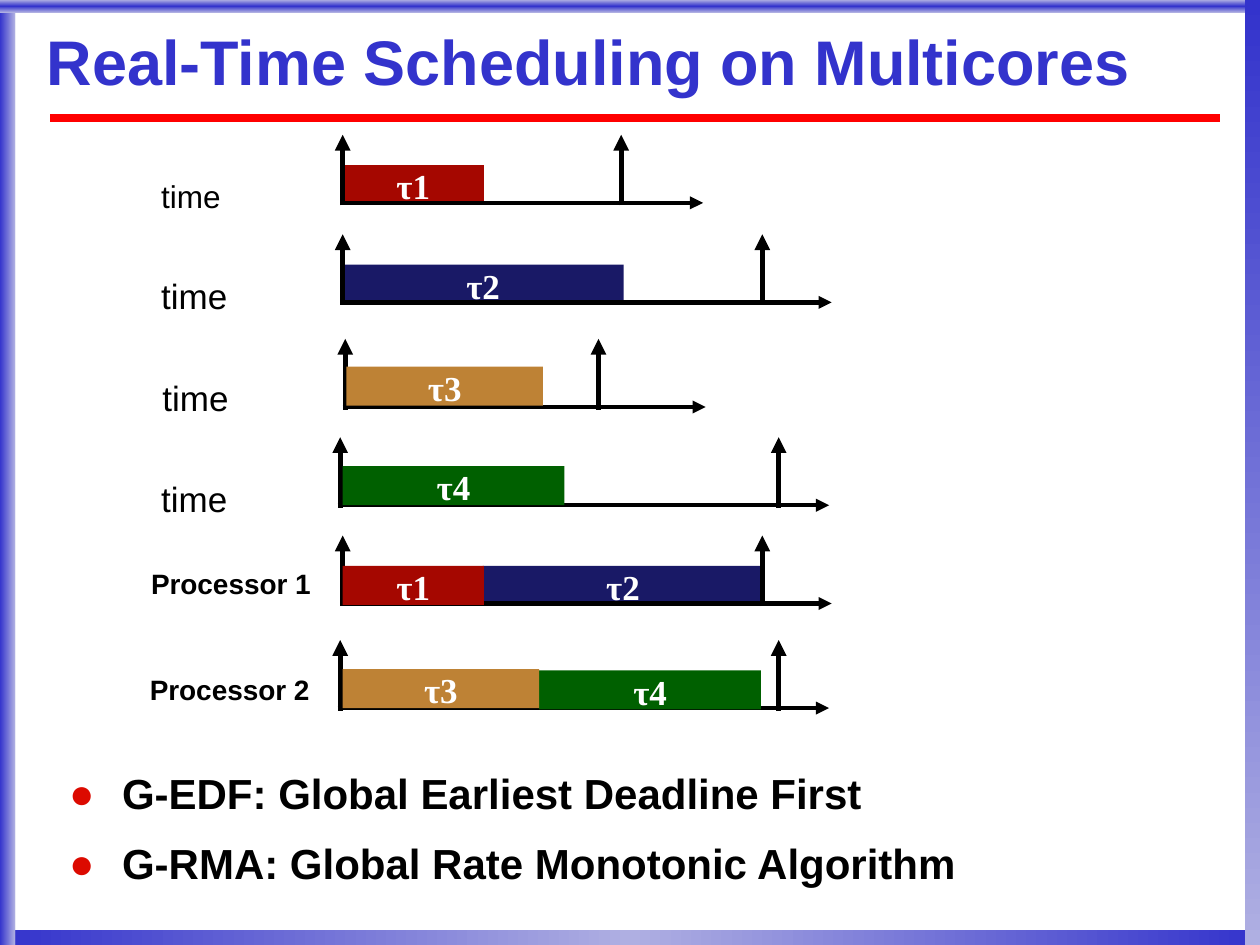
import pptx
import pptx.util
import pptx.dml.color
import pptx.enum.shapes
import pptx.enum.text
import pptx.oxml
import pptx.oxml.ns

NS = pptx.oxml.ns.nsdecls("a")
BLUE, PALE = "3333CC", "AFAFE2"
TASKS = {
    "τ1": ("A50700", 112),
    "τ2": ("191966", 223),
    "τ3": ("BE8235", 156),
    "τ4": ("006000", 176),
}
TIME = {"size": 20}
PROC = {"size": 16, "bold": True}
ROWS = [
    (272, 107, 221, 286, 33, "time", 118, {"size": 18}, [("τ1", 0, 24, False)]),
    (272, 186, 333, 388, 32, "time", 118, TIME, [("τ2", 0, 24, False)]),
    (274, 269, 201, 286, 30, "time", 119, TIME, [("τ3", 1, 22, True)]),
    (270, 347, 348, 388, 32, "time", 118, TIME, [("τ4", 2, 23, True)]),
    (272, 425, 333, 388, 24, "Processor 1", 110, PROC,
     [("τ2", 111, 24, False), ("τ1", 0, 24, True)]),
    (270, 508, 348, 388, 25, "Processor 2", 109, PROC,
     [("τ4", 158, 24, True), ("τ3", 2, 23, True)]),
]


def px(n):
    """Turn px, a hundred to the inch, into EMU."""
    return pptx.util.Emu(n * 9144)


def paint(hue):
    """Turn a hex string into a colour."""
    return pptx.dml.color.RGBColor.from_string(hue)


def block(slide, x, y, w, h, hue):
    """Draw a plain filled rectangle."""
    kind = pptx.enum.shapes.MSO_SHAPE.RECTANGLE
    shape = slide.shapes.add_shape(kind, px(x), px(y), px(w), px(h))
    shape.shadow.inherit = False
    shape.line.fill.background()
    shape.fill.solid()
    shape.fill.fore_color.rgb = paint(hue)
    return shape


def blend(shape, hues, angle):
    """Fill a shape with evenly spaced gradient stops."""
    step = 100000 // (len(hues) - 1)
    stops = "".join(
        f'<a:gs pos="{i * step}"><a:srgbClr val="{hue}"/></a:gs>'
        for i, hue in enumerate(hues))
    grad = pptx.oxml.parse_xml(
        f'<a:gradFill {NS} rotWithShape="1"><a:gsLst>{stops}</a:gsLst>'
        f'<a:lin ang="{angle * 60000}" scaled="0"/></a:gradFill>')
    old = shape.fill._xPr.find(pptx.oxml.ns.qn("a:solidFill"))
    old.getparent().replace(old, grad)


def line(slide, x1, y1, x2, y2, width, hue="000000", head=True):
    """Draw a straight line, with an arrowhead at its end if asked."""
    kind = pptx.enum.shapes.MSO_CONNECTOR.STRAIGHT
    rule = slide.shapes.add_connector(kind, px(x1), px(y1), px(x2), px(y2))
    rule.line.width = pptx.util.Pt(width)
    rule.line.color.rgb = paint(hue)
    if head:
        rule.line._get_or_add_ln().append(
            pptx.oxml.parse_xml(f'<a:tailEnd {NS} type="triangle"/>'))
    rule._element.spPr.append(pptx.oxml.parse_xml(f"<a:effectLst {NS}/>"))


def write(shape, text, size=20, bold=False, hue="000000", font="Arial",
          align="LEFT", lead=0.85, gap=0, inset=(10, 5), anchor="TOP"):
    """Set the text of a shape, one paragraph to a line, and its format."""
    frame = shape.text_frame
    frame.word_wrap = True
    frame.margin_left = frame.margin_right = px(inset[0])
    frame.margin_top = frame.margin_bottom = px(inset[1])
    frame.vertical_anchor = getattr(pptx.enum.text.MSO_ANCHOR, anchor)
    frame.text = text
    for para in frame.paragraphs:
        para.alignment = getattr(pptx.enum.text.PP_ALIGN, align)
        para.line_spacing = lead
        para.space_before = pptx.util.Pt(gap)
        font_set = para.runs[0].font
        font_set.size = pptx.util.Pt(size)
        font_set.bold = bold
        font_set.name = font
        font_set.color.rgb = paint(hue)
    return frame


def label(slide, x, y, w, h, text, **form):
    """Add a text box and write in it."""
    box = slide.shapes.add_textbox(px(x), px(y), px(w), px(h))
    return write(box, text, **form)


def border(slide, w, h):
    """Draw the gradient bands round the slide."""
    bands = [
        (0, h - 12, w, 12, [BLUE, PALE, BLUE], 0),
        (0, 0, 12, h, [BLUE, PALE], 0),
        (0, 0, w, 10, [PALE, BLUE, PALE], 90),
        (w - 12, 0, 12, h, [BLUE, PALE], 90),
    ]
    for x, y, wide, high, hues, angle in bands:
        blend(block(slide, x, y, wide, high, BLUE), hues, angle)


def title(slide, x, y, w, h):
    """Write the shadowed title and rule it off in red."""
    line(slide, x + 3, y + 79, x + w + 1, y + 79, 4.5, "FF0000", head=False)
    frame = label(slide, x, y, w, h, "Real-Time Scheduling on Multicores",
                  size=36, bold=True, hue=BLUE, lead=0.87, inset=(0, 0),
                  anchor="MIDDLE")
    fill = frame.paragraphs[0].runs[0].font.fill._xPr.find(
        pptx.oxml.ns.qn("a:solidFill"))
    fill.addnext(pptx.oxml.parse_xml(
        f'<a:effectLst {NS}><a:outerShdw dist="35921" dir="2700000">'
        '<a:srgbClr val="B2B2B2"/></a:outerShdw></a:effectLst>'))


def bars(slide, x, y, items, front):
    """Draw the task bars that lie in front of or behind the axes."""
    for name, dx, dy, over in items:
        if over == front:
            hue, wide = TASKS[name]
            bar = block(slide, x + dx, y + dy, wide, 31, hue)
            write(bar, name, bold=True, hue="FFFFFF", align="CENTER",
                  font="Times New Roman")


def chart(slide, x, y, due, end, drop, text, left, form, items):
    """Draw one timeline with its label, arrows and task bars."""
    bars(slide, x, y, items, False)
    line(slide, x, y + 56, x, y, 3)
    line(slide, x - 2, y + 54, x + end, y + 54, 2.5)
    line(slide, x + due, y + 56, x + due, y, 3)
    label(slide, left, y + drop, 202, 31, text, **form)
    bars(slide, x, y, items, True)


def points(slide, x, y, w, h):
    """Write the bulleted list of algorithms."""
    frame = label(slide, x, y, w, h,
                  "G-EDF: Global Earliest Deadline First\n"
                  "G-RMA: Global Rate Monotonic Algorithm",
                  size=24, bold=True, lead=0.93, gap=13)
    for para in frame.paragraphs:
        props = para._p.get_or_add_pPr()
        props.set("marL", str(px(42)))
        props.set("indent", str(px(-42)))
        for mark in ('buClr {}><a:srgbClr val="DC0A00"/></a:buClr',
                     'buFont {} typeface="Arial"/', 'buChar {} char="●"/'):
            props.append(pptx.oxml.parse_xml("<a:" + mark.format(NS) + ">"))


def main():
    """Build the slide and save it."""
    deck = pptx.Presentation()
    deck.slide_width, deck.slide_height = px(1000), px(750)
    slide = deck.slides.add_slide(deck.slide_layouts[6])
    border(slide, 1000, 750)
    title(slide, 37, 15, 930, 74)
    for row in ROWS:
        chart(slide, *row)
    points(slide, 45, 608, 908, 87)
    deck.save("out.pptx")


if __name__ == "__main__":
    main()
